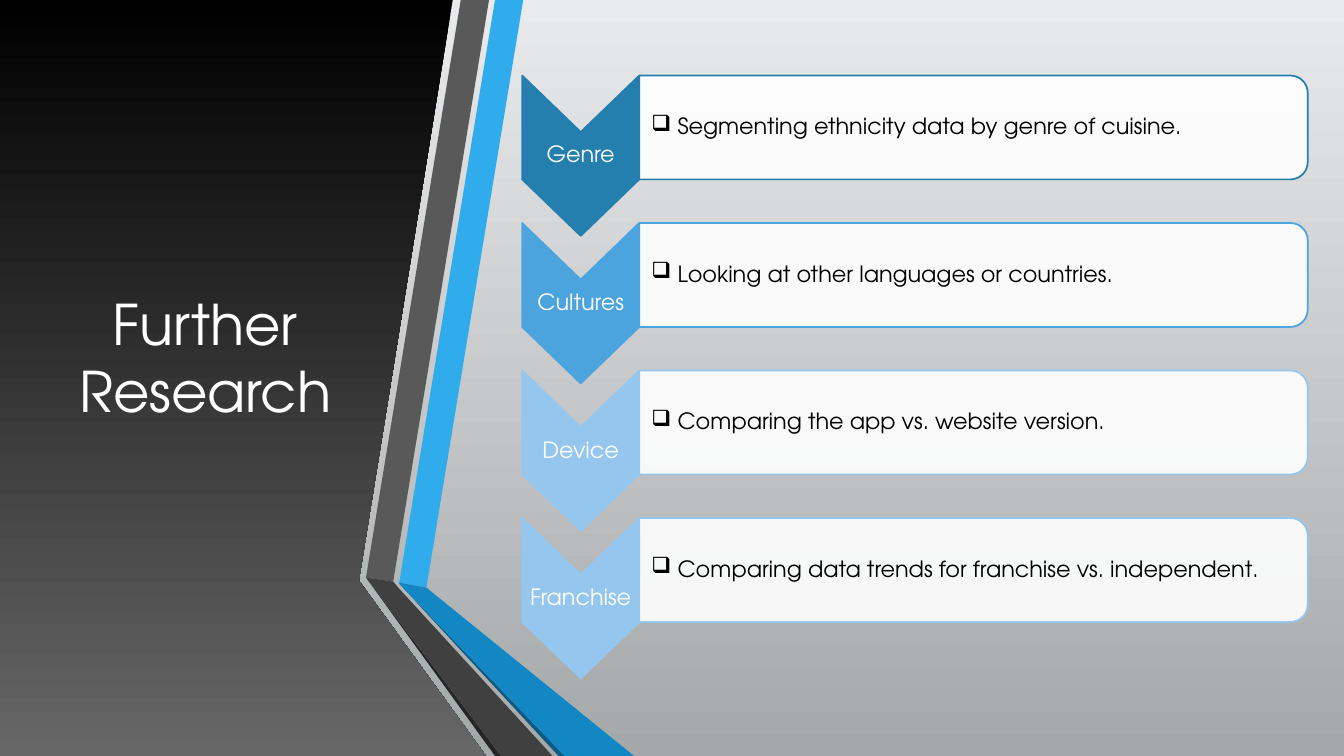
from dataclasses import dataclass
from math import cos, radians, sin

from lxml import etree
from pptx import Presentation
from pptx.dml.color import RGBColor
from pptx.enum import text as txt
from pptx.oxml import ns
from pptx.util import Inches, Pt


@dataclass(frozen=True)
class Theme:
    font: str = "TeX Gyre Adventor"
    title_size: int = 40
    body_size: int = 16
    outline: float = 1.25
    white: str = "FFFFFF"
    black: str = "000000"
    backdrop: tuple = ("E9EAEB", "A5A8A9")
    side_panel: tuple = ("000000", "676767")
    blue: str = "30ACEC"
    blue_fold: str = "1287C3"
    blue_edge: str = "0C5A82"
    gray: str = "595959"
    gray_fold: str = "404040"
    gray_edge: str = "262626"


THEME = Theme()
SLIDE_W, SLIDE_H = 13.33, 7.5

TOPICS = [
    ("Genre", "Segmenting ethnicity data by genre of cuisine.", "247FAF"),
    ("Cultures", "Looking at other languages or countries.", "4CA4DE"),
    ("Device", "Comparing the app vs. website version.", "95C6EE"),
    ("Franchise", "Comparing data trends for franchise vs. independent.", "95C6EE"),
]


def set_all(target, values):
    for name, value in values.items():
        setattr(target, name, value)


def paint_solid(fill, color):
    fill.solid()
    fill.fore_color.rgb = RGBColor.from_string(color)


def paint_downward(fill, colors):
    fill.gradient()
    fill.gradient_angle = 270
    for stop, color in zip(fill.gradient_stops, colors):
        stop.color.rgb = RGBColor.from_string(color)


def add_outline(shapes, box, points):
    """Closed outline through points given relative to the box, in inches."""
    left, top = box[:2]
    corners = [(Inches(left + x), Inches(top + y)) for x, y in points]
    builder = shapes.build_freeform(*corners[0])
    builder.add_line_segments(corners[1:], close=True)
    outline = builder.convert_to_shape()
    outline.shadow.inherit = False
    outline.line.fill.background()
    return outline


def write(shape, content, size, color, frame_format, paragraph_format):
    frame = shape.text_frame
    frame.text = content
    set_all(frame, {"word_wrap": True, "vertical_anchor": txt.MSO_ANCHOR.MIDDLE,
                    **frame_format})
    paragraph = frame.paragraphs[0]
    set_all(paragraph, paragraph_format)
    font = paragraph.runs[0].font
    set_all(font, {"name": THEME.font, "size": Pt(size)})
    font.color.rgb = RGBColor.from_string(color)
    return paragraph


# Dark panel behind the title
def add_side_panel(slide, box):
    w, h = box[2:]
    panel = add_outline(slide.shapes, box, [
        (0, 0), (w - 0.33, 0), (w - 1.26, 5.76), (w, h), (0, h)])
    paint_downward(panel.fill, THEME.side_panel)


# Folded gray and blue ribbons
def add_ribbons(slide, box):
    w, h = box[2:]
    ribbons = slide.shapes.add_group_shape().shapes
    bands = [
        (THEME.blue, [(0.33, 5.78), (0.6, 5.83), (1.56, 0), (1.28, 0)]),
        (THEME.gray, [(1.22, 0), (0.94, 0), (0, 5.73), (0.27, 5.77)]),
        (THEME.gray_edge, [(0, 5.73), (1.28, h), (1.34, h)]),
        (THEME.blue_edge, [(0.33, 5.79), (1.91, h), (1.97, h)]),
        (THEME.blue_fold, [(0.33, 5.79), (1.97, h), (w, h), (0.6, 5.83), (0.33, 5.78)]),
        (THEME.gray_fold, [(1.85, h), (0.32, 5.83), (0.27, 5.77), (0, 5.73), (1.34, h)]),
    ]
    for color, points in bands:
        paint_solid(add_outline(ribbons, box, points).fill, color)


def add_title(slide, box):
    title = slide.shapes.title
    set_all(title, dict(zip(("left", "top", "width", "height"), map(Inches, box))))
    write(title, "Further Research", THEME.title_size, THEME.white,
          {"auto_size": txt.MSO_AUTO_SIZE.NONE}, {"alignment": txt.PP_ALIGN.CENTER})
    # Bring the title in front of the panel
    title.element.getparent().append(title.element)


def add_topic_outline(slide, box, points, fill_color, line_color):
    shape = add_outline(slide.shapes, box, points)
    paint_solid(shape.fill, fill_color)
    paint_solid(shape.line.fill, line_color)
    shape.line.width = Pt(THEME.outline)
    return shape


def add_chevron(slide, box, label, color):
    w, h = box[2:]
    notch = 0.56
    chevron = add_topic_outline(slide, box, [
        (0, 0), (w / 2, notch), (w, 0), (w, h - notch), (w / 2, h), (0, h - notch)],
        color, color)
    write(chevron, label, THEME.body_size, THEME.white,
          {"margin_left": Inches(0.01), "margin_right": Inches(0.01),
           "margin_top": Inches(0.56), "margin_bottom": Inches(0.56)},
          {"alignment": txt.PP_ALIGN.CENTER, "line_spacing": 0.9,
           "space_after": Pt(5.6)})


def add_detail(slide, box, detail, color):
    w, h = box[2:]
    radius = 0.17
    # Quarter circles round the two right corners
    arcs = [(w - radius + radius * cos(radians(angle)),
             cy + radius * sin(radians(angle)))
            for cy, start in ((radius, -90), (h - radius, 0))
            for angle in range(start, start + 91, 10)]
    panel = add_topic_outline(slide, box, [(0, 0), *arcs, (0, h)], THEME.white, color)
    tint = panel.element.spPr.find(ns.qn("a:solidFill"))[0]
    etree.SubElement(tint, ns.qn("a:alpha"), val="90000")
    paragraph = write(panel, detail, THEME.body_size, THEME.black,
                      {"margin_left": Inches(0.12), "margin_right": Inches(0.06),
                       "margin_top": Inches(0.06), "margin_bottom": Inches(0.06)},
                      {"alignment": txt.PP_ALIGN.LEFT, "line_spacing": 0.9,
                       "space_after": Pt(2.4)})
    # Hanging box bullet
    hang = Inches(0.26)
    properties = paragraph._p.get_or_add_pPr()
    properties.set("marL", str(hang))
    properties.set("indent", str(-hang))
    etree.SubElement(properties, ns.qn("a:buChar"), char="❑")


# Chevron list of research topics
def add_topics(slide, box):
    left, top, width, height = box
    chevron_w, chevron_h, detail_h = 1.16, 1.59, 1.03
    pitch = (height - chevron_h) / (len(TOPICS) - 1)
    for row, (label, detail, color) in enumerate(TOPICS):
        y = top + row * pitch
        add_chevron(slide, (left, y, chevron_w, chevron_h), label, color)
        add_detail(slide, (left + chevron_w, y, width - chevron_w, detail_h),
                   detail, color)


def main():
    deck = Presentation()
    set_all(deck, {"slide_width": Inches(SLIDE_W), "slide_height": Inches(SLIDE_H)})
    slide = deck.slides.add_slide(deck.slide_layouts[5])
    paint_downward(slide.background.fill, THEME.backdrop)
    add_side_panel(slide, (0, 0, 4.82, SLIDE_H))
    add_ribbons(slide, (3.63, 0, 2.66, SLIDE_H))
    add_title(slide, (0.59, 0.75, 2.89, 5.58))
    add_topics(slide, (5.18, 0.75, 7.79, 5.98))
    deck.save("out.pptx")


if __name__ == "__main__":
    main()
